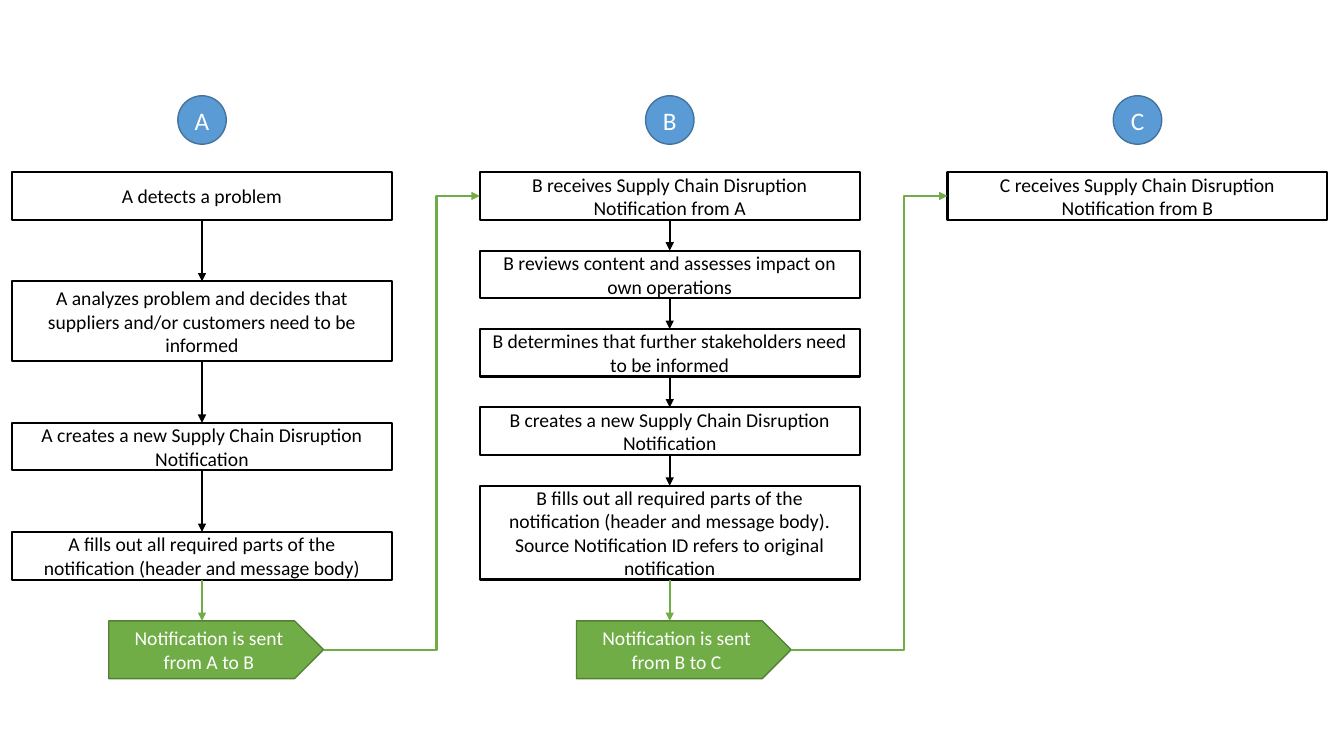
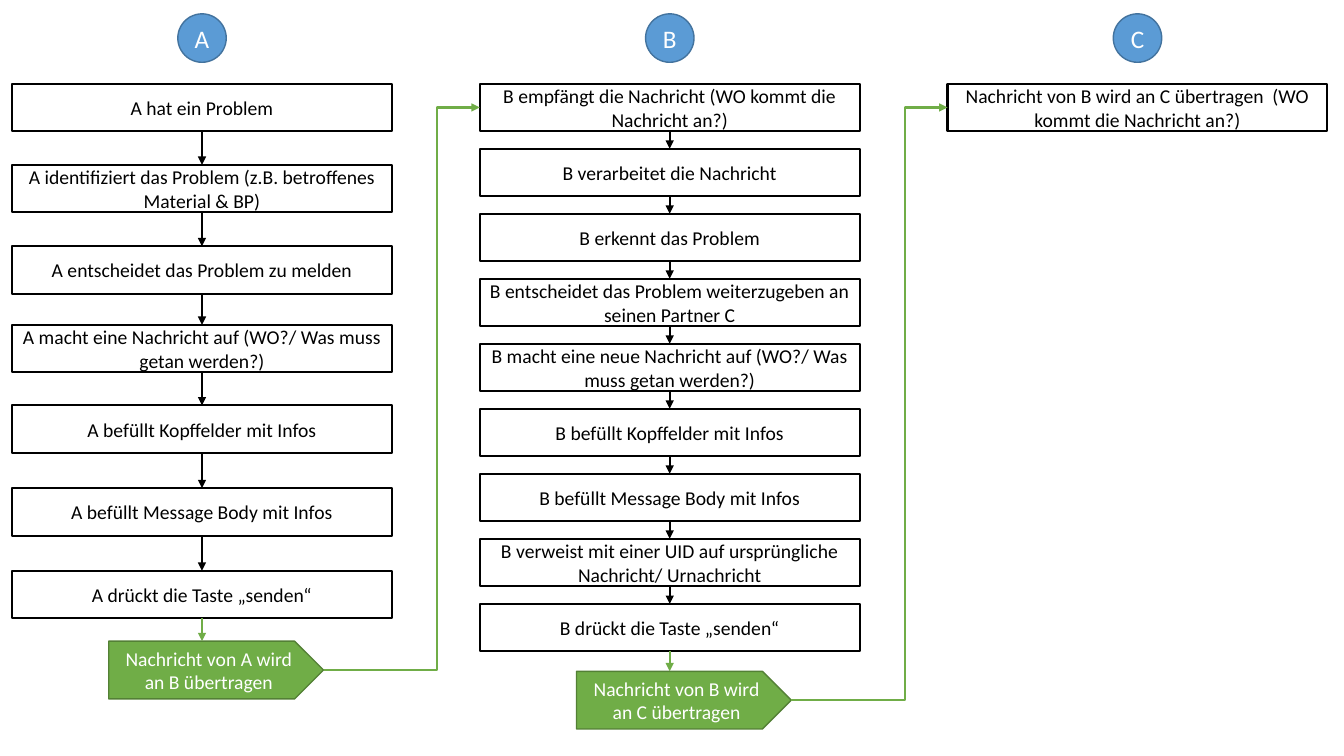
import pptx
import pptx.dml.color
import pptx.enum.shapes
import pptx.enum.text
import pptx.oxml
import pptx.oxml.ns
import pptx.util

Pt = pptx.util.Pt
SHAPES = pptx.enum.shapes.MSO_SHAPE
CONNECTORS = pptx.enum.shapes.MSO_CONNECTOR

# Shared look and grid
COLORS = {
    "ink": "000000",
    "white": "FFFFFF",
    "green": "70AD47",
    "green_edge": "538035",
    "blue": "5B9BD5",
    "blue_edge": "43739E",
}
FONT = "Calibri"
COLUMN_LEFT, COLUMN_PITCH = 8.6, 334.1
BOX_WIDTH, BOX_HEIGHT = 271.4, 34
BADGE_SIZE = 34.6
PLATE_INDENT, PLATE_WIDTH, PLATE_HEIGHT = 69.1, 153.4, 41.2

# Each step is its text and height; gaps lie between successive steps
SLIDES = [
    {
        "badge_top": 68.4,
        "first_top": 123,
        "elbow_bend": 0.723,
        "columns": [
            {
                "name": "A",
                "steps": [
                    ("A detects a problem", BOX_HEIGHT),
                    ("A analyzes problem and decides that suppliers and/or customers "
                     "need to be informed", 57),
                    ("A creates a new Supply Chain Disruption Notification", BOX_HEIGHT),
                    ("A fills out all required parts of the notification "
                     "(header and message body)", BOX_HEIGHT),
                ],
                "gaps": [44] * 3,
                "plate": ("Notification is sent from A to B", 443.5),
            },
            {
                "name": "B",
                "steps": [
                    ("B receives Supply Chain Disruption Notification from A", BOX_HEIGHT),
                    ("B reviews content and assesses impact on own operations", BOX_HEIGHT),
                    ("B determines that further stakeholders need to be informed", BOX_HEIGHT),
                    ("B creates a new Supply Chain Disruption Notification", BOX_HEIGHT),
                    ("B fills out all required parts of the notification (header and "
                     "message body). Source Notification ID refers to original "
                     "notification", 67),
                ],
                "gaps": [22] * 4,
                "plate": ("Notification is sent from B to C", 443.5),
            },
            {
                "name": "C",
                "steps": [("C receives Supply Chain Disruption Notification from B", BOX_HEIGHT)],
                "gaps": [],
                "plate": None,
            },
        ],
    },
    {
        "badge_top": 9.9,
        "first_top": 59.8,
        "elbow_bend": 0.729,
        "columns": [
            {
                "name": "A",
                "steps": [(text, BOX_HEIGHT) for text in (
                    "A hat ein Problem",
                    "A identifiziert das Problem (z.B. betroffenes Material & BP)",
                    "A entscheidet das Problem zu melden",
                    "A macht eine Nachricht auf (WO?/ Was muss getan werden?)",
                    "A befüllt Kopffelder mit Infos",
                    "A befüllt Message Body mit Infos",
                    "A drückt die Taste „senden“",
                )],
                "gaps": [23.9, 24.2, 22.1, 23.6, 25.1, 25],
                "plate": ("Nachricht von A wird an B übertragen", 458),
            },
            {
                "name": "B",
                "steps": [(text, BOX_HEIGHT) for text in (
                    "B empfängt die Nachricht (WO kommt die Nachricht an?)",
                    "B verarbeitet die Nachricht",
                    "B erkennt das Problem",
                    "B entscheidet das Problem weiterzugeben an seinen Partner C",
                    "B macht eine neue Nachricht auf (WO?/ Was muss getan werden?)",
                    "B befüllt Kopffelder mit Infos",
                    "B befüllt Message Body mit Infos",
                    "B verweist mit einer UID auf ursprüngliche Nachricht/ Urnachricht",
                    "B drückt die Taste „senden“",
                )],
                "gaps": [12.44] * 8,
                "plate": ("Nachricht von B wird an C übertragen", 479.5),
            },
            {
                "name": "C",
                "steps": [("Nachricht von B wird an C übertragen  (WO kommt die Nachricht an?)",
                           BOX_HEIGHT)],
                "gaps": [],
                "plate": None,
            },
        ],
    },
]


def add_text_shape(page, text, left, top, width, height, kind=SHAPES.RECTANGLE,
                   fill=None, edge="ink", edge_width=1.5, color="ink", size=14,
                   inset=(7.2, 5.7)):
    shape = page.shapes.add_shape(kind, Pt(left), Pt(top), Pt(width), Pt(height))
    shape.shadow.inherit = False
    if fill:
        shape.fill.solid()
        shape.fill.fore_color.rgb = pptx.dml.color.RGBColor.from_string(COLORS[fill])
    else:
        shape.fill.background()
    shape.line.color.rgb = pptx.dml.color.RGBColor.from_string(COLORS[edge])
    shape.line.width = Pt(edge_width)
    frame = shape.text_frame
    frame.word_wrap = True
    frame.vertical_anchor = pptx.enum.text.MSO_ANCHOR.MIDDLE
    frame.margin_left = frame.margin_right = Pt(inset[0])
    frame.margin_top = frame.margin_bottom = Pt(inset[1])
    para = frame.paragraphs[0]
    para.alignment = pptx.enum.text.PP_ALIGN.CENTER
    span = para.add_run()
    span.text = text
    span.font.name = FONT
    span.font.size = Pt(size)
    span.font.color.rgb = pptx.dml.color.RGBColor.from_string(COLORS[color])
    return shape


def add_arrow(page, start, start_side, end, end_side, color, bend=None):
    """Join two shapes; end may also be an (x, y) point. A bend makes an elbow."""
    kind = CONNECTORS.STRAIGHT if bend is None else CONNECTORS.ELBOW
    end_x, end_y = end if isinstance(end, tuple) else (0, 0)
    arrow = page.shapes.add_connector(kind, 0, 0, Pt(end_x), Pt(end_y))
    arrow.begin_connect(start, start_side)
    if not isinstance(end, tuple):
        arrow.end_connect(end, end_side)
    arrow.line.color.rgb = pptx.dml.color.RGBColor.from_string(COLORS[color])
    arrow.line.width = Pt(1.5)
    properties = arrow._element.spPr
    head = pptx.oxml.parse_xml(
        f'<a:tailEnd {pptx.oxml.ns.nsdecls("a")} type="triangle"/>')
    properties.find(pptx.oxml.ns.qn("a:ln")).append(head)
    properties.append(pptx.oxml.parse_xml(
        f'<a:effectLst {pptx.oxml.ns.nsdecls("a")}/>'))
    if bend is not None:
        geometry = properties.find(pptx.oxml.ns.qn("a:prstGeom"))
        for child in list(geometry):
            geometry.remove(child)
        geometry.append(pptx.oxml.parse_xml(
            f'<a:avLst {pptx.oxml.ns.nsdecls("a")}>'
            f'<a:gd name="adj1" fmla="val {round(bend * 100000)}"/></a:avLst>'))


deck = pptx.Presentation()
deck.slide_width, deck.slide_height = Pt(960), Pt(540)

for content in SLIDES:
    page = deck.slides.add_slide(deck.slide_layouts[6])
    plate = None
    for index, column in enumerate(content["columns"]):
        left = COLUMN_LEFT + index * COLUMN_PITCH
        center = left + BOX_WIDTH / 2

        # Partner badge
        add_text_shape(page, column["name"], center - BADGE_SIZE / 2, content["badge_top"],
                       BADGE_SIZE, BADGE_SIZE, kind=SHAPES.OVAL, fill="blue",
                       edge="blue_edge", edge_width=1, color="white", size=18, inset=(0, 0))

        # Process steps, joined downwards
        top = content["first_top"]
        boxes = []
        for (text, height), gap in zip(column["steps"], column["gaps"] + [0]):
            boxes.append(add_text_shape(page, text, left, top, BOX_WIDTH, height))
            top += height + gap
        for upper, lower in zip(boxes, boxes[1:]):
            add_arrow(page, upper, 2, lower, 0, "ink")

        # Handover from the previous partner
        if plate is not None:
            add_arrow(page, plate, 3, boxes[0], 1, "green", bend=content["elbow_bend"])

        # Sending plate
        if column["plate"]:
            text, plate_top = column["plate"]
            plate = add_text_shape(page, text, left + PLATE_INDENT, plate_top,
                                   PLATE_WIDTH, PLATE_HEIGHT, kind=SHAPES.PENTAGON,
                                   fill="green", edge="green_edge", edge_width=1,
                                   color="white")
            add_arrow(page, boxes[-1], 2, (center, plate_top), None, "green")

deck.save("out.pptx")
